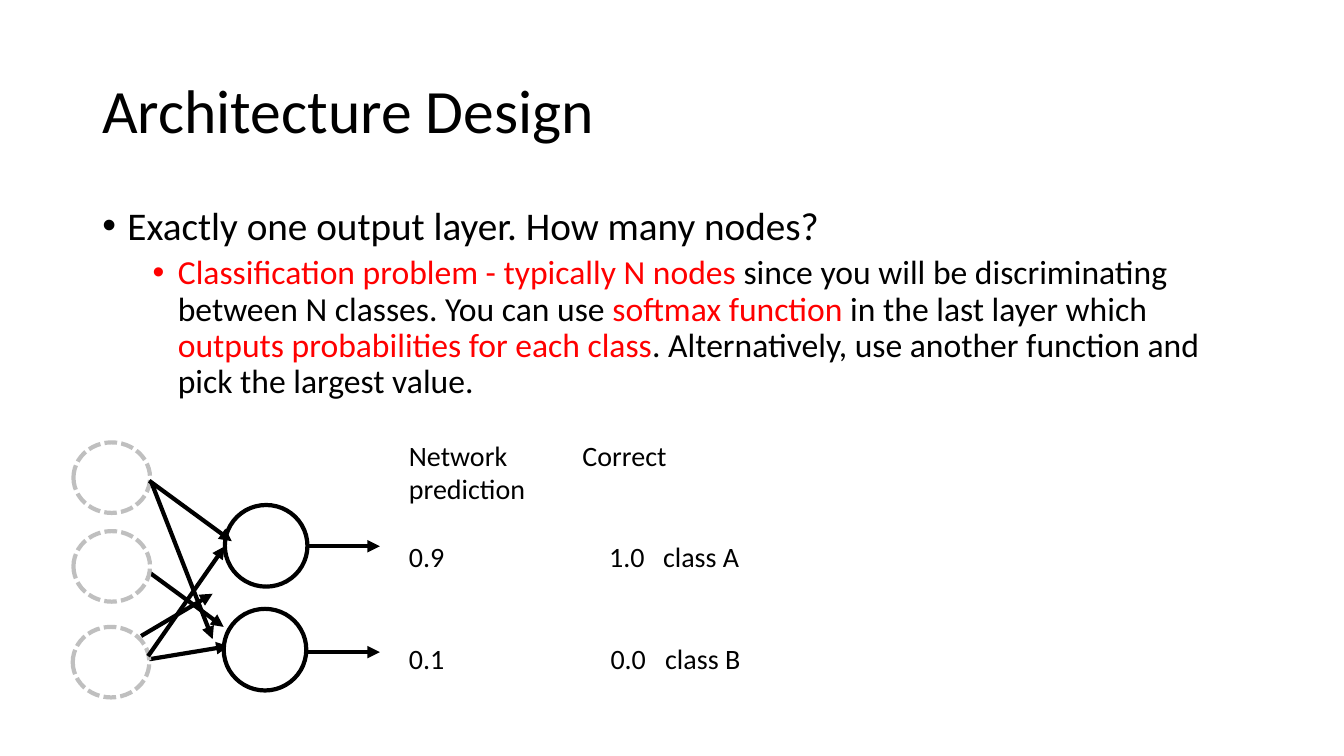
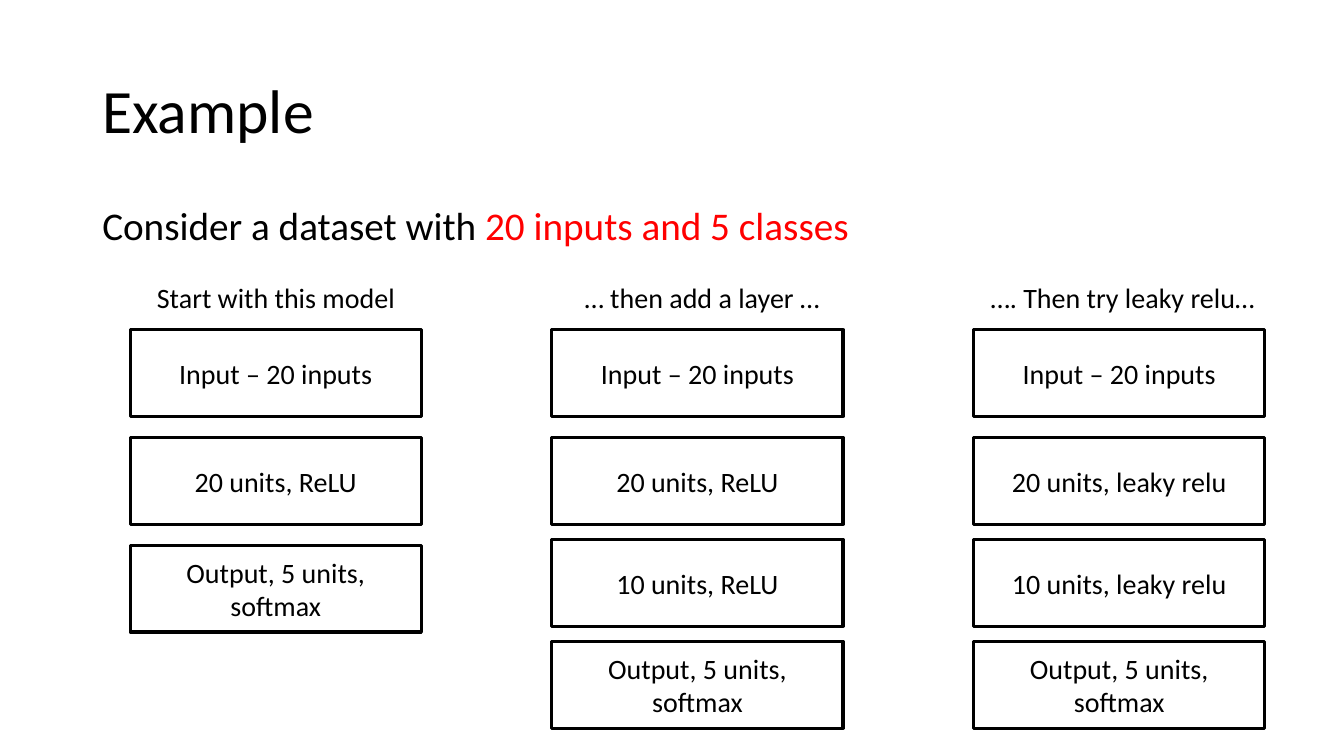
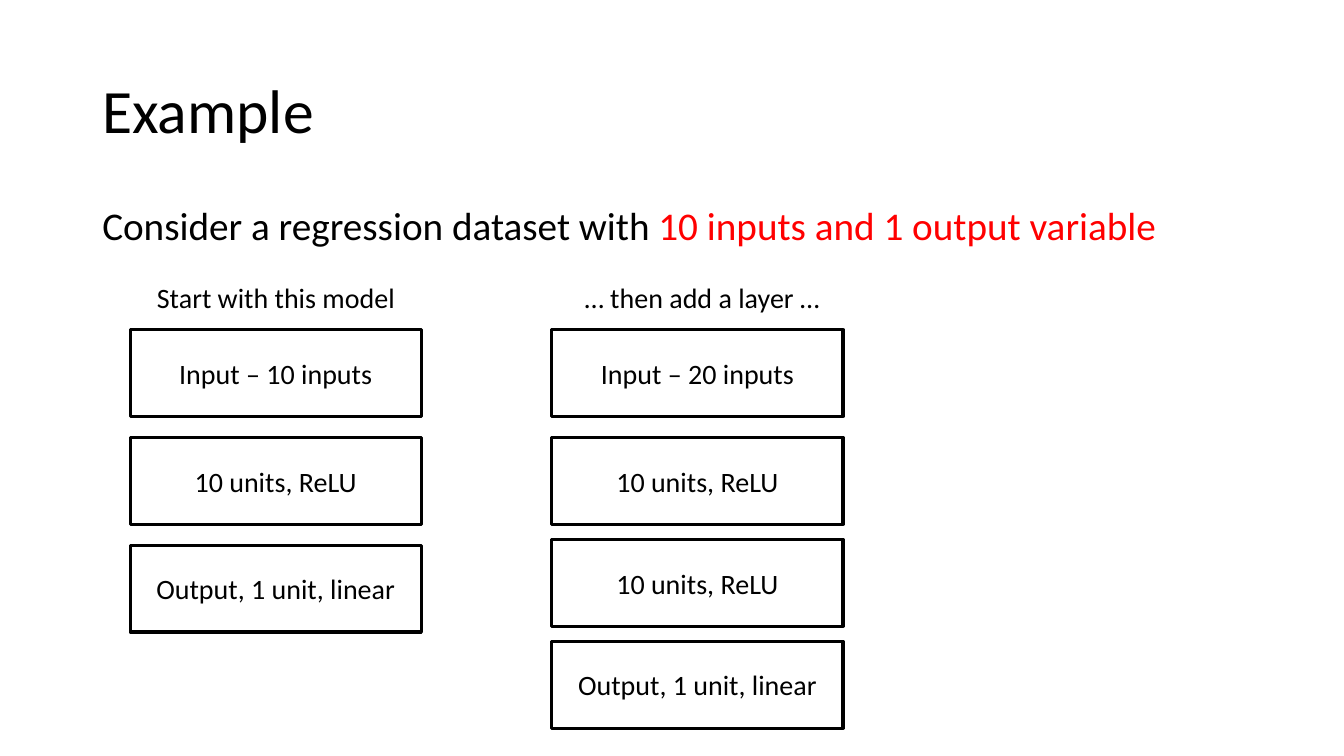
from lxml import etree
from pptx import Presentation
from pptx.dml.color import RGBColor
from pptx.enum.dml import MSO_LINE_DASH_STYLE as Dash
from pptx.enum.shapes import MSO_CONNECTOR as Connector, MSO_SHAPE as Shape
from pptx.enum.text import MSO_ANCHOR as Anchor, PP_ALIGN as Align
from pptx.oxml.ns import qn
from pptx.util import Pt

COLORS = {"ink": "000000", "accent": "FF0000", "paper": "FFFFFF", "faded": "BFBFBF"}
FONT = "Calibri"
TITLE_BOX = (66, 29, 828, 104)
BODY_BOX = (66, 144, 828, 343)
LABEL_SIZE = 20


def color(name):
    return RGBColor.from_string(COLORS[name])


# Text helpers
def style(span, size, ink="ink"):
    span.font.name = FONT
    span.font.size = Pt(size)
    span.font.color.rgb = color(ink)


def add_text(page, box, anchor=Anchor.TOP):
    frame = page.shapes.add_textbox(*map(Pt, box)).text_frame
    frame.word_wrap = True
    frame.vertical_anchor = anchor
    return frame


def add_spans(para, spans, size):
    """Fill a paragraph with (text, colour name) pairs."""
    para.line_spacing = 0.9
    for text, ink in spans:
        span = para.add_run()
        span.text = text
        style(span, size, ink)


def add_bullet(para, left):
    props = para._p.get_or_add_pPr()
    props.set("marL", str(Pt(left)))
    props.set("indent", str(-Pt(18)))
    etree.SubElement(props, qn("a:buFont")).set("typeface", "Arial")
    etree.SubElement(props, qn("a:buChar")).set("char", "•")


def add_tabs(para, stops):
    tabs = etree.SubElement(para._p.get_or_add_pPr(), qn("a:tabLst"))
    for stop in stops:
        tab = etree.SubElement(tabs, qn("a:tab"))
        tab.set("pos", str(Pt(stop)))
        tab.set("algn", "l")


def add_tabbed_line(para, text, stops):
    para.text = text
    add_tabs(para, stops)
    for span in para.runs:
        style(span, LABEL_SIZE)


# Shape helpers
def add_outlined(page, kind, box, width, line="ink"):
    shape = page.shapes.add_shape(kind, *map(Pt, box))
    shape.shadow.inherit = False
    shape.fill.solid()
    shape.fill.fore_color.rgb = color("paper")
    shape.line.color.rgb = color(line)
    shape.line.width = Pt(width)
    return shape


def add_arrow(page, origin, points):
    left, top = origin
    x1, y1, x2, y2 = points
    arrow = page.shapes.add_connector(
        Connector.STRAIGHT, Pt(left + x1), Pt(top + y1), Pt(left + x2), Pt(top + y2))
    arrow.line.color.rgb = color("ink")
    arrow.line.width = Pt(3)
    etree.SubElement(arrow.line._get_or_add_ln(), qn("a:tailEnd")).set("type", "triangle")
    etree.SubElement(arrow._element.spPr, qn("a:effectLst"))


def new_page(deck, title):
    page = deck.slides.add_slide(deck.slide_layouts[6])
    frame = add_text(page, TITLE_BOX, Anchor.MIDDLE)
    add_spans(frame.paragraphs[0], [(title, "ink")], 44)
    return page


# Output layer drawing
def draw_network(page, origin):
    left, top = origin
    behind = [(54.1, 154.9, 110.9, 145.5), (48.3, 88.6, 107.3, 131.8)]
    in_front = [
        (54.1, 27.4, 113.1, 70.6), (48.3, 138.3, 99.4, 108.1),
        (53.3, 152.7, 108.1, 74.2), (55.5, 28.2, 99.4, 140.5),
        (167.1, 149.8, 218.9, 149.8), (167.1, 74.2, 218.9, 74.2),
    ]
    for points in behind:
        add_arrow(page, origin, points)
    for x, y in [(0, 0), (0, 63.4), (-0.5, 131.8)]:
        node = add_outlined(page, Shape.OVAL, (left + x, top + y, 54.7, 50.4), 3, "faded")
        node.line.dash_style = Dash.SQUARE_DOT
    for x, y in [(107.3, 118.9), (108.1, 44.7)]:
        add_outlined(page, Shape.OVAL, (left + x, top + y, 59, 58.3), 3)
    for points in in_front:
        add_arrow(page, origin, points)


def draw_predictions(page, box):
    frame = add_text(page, box)
    rows = [  # text, space before, tab stops
        ("Network\tCorrect", 0, [124]),
        ("prediction", 0, []),
        ("0.9\t1.0\tclass A", 24.4, [143, 181.5]),
        ("0.1\t0.0\tclass B", 48.8, [144, 183]),
    ]
    for index, (text, gap, stops) in enumerate(rows):
        para = frame.add_paragraph() if index else frame.paragraphs[0]
        add_tabbed_line(para, text, stops)
        if gap:
            para.space_before = Pt(gap)


def architecture_page(deck):
    page = new_page(deck, "Architecture Design")
    frame = add_text(page, BODY_BOX)
    question = frame.paragraphs[0]
    add_bullet(question, 18)
    add_spans(question, [("Exactly one output layer. How many nodes?", "ink")], 28)
    answer = frame.add_paragraph()
    answer.level = 1
    add_bullet(answer, 54)
    answer.space_before = Pt(5)
    add_spans(answer, [
        ("Classification problem - typically N nodes ", "accent"),
        ("since you will be discriminating between N classes. You can use ", "ink"),
        ("softmax function ", "accent"),
        ("in the last layer which ", "ink"),
        ("outputs probabilities for each class", "accent"),
        (". Alternatively, use another function and pick the largest value.", "ink"),
    ], 24)
    draw_network(page, (52.5, 316))
    draw_predictions(page, (285, 309.6, 281.5, 177))


# Model columns
def draw_model(page, origin, layers):
    left, top = origin
    pitch = 77 if len(layers) == 3 else 72.8
    for index, text in enumerate(layers):
        # The first gap is the same in every column
        offset = 77 + (index - 1) * pitch if index else 0
        layer = add_outlined(page, Shape.RECTANGLE, (left, top + offset, 208, 62), 2.25)
        frame = layer.text_frame
        frame.text = text
        frame.word_wrap = True
        frame.vertical_anchor = Anchor.MIDDLE
        para = frame.paragraphs[0]
        para.alignment = Align.CENTER
        style(para.runs[0], LABEL_SIZE)


def example_page(deck, intro, highlight, models):
    page = new_page(deck, "Example")
    body = add_text(page, BODY_BOX)
    add_spans(body.paragraphs[0], [(intro, "ink"), (highlight, "accent")], 28)
    for column, (_, layers) in enumerate(models):
        draw_model(page, (93 + column * 301.25, 235.5), layers)
    captions = add_text(page, (105, 196.5, 834, 32))
    add_tabbed_line(captions.paragraphs[0], "\t".join(name for name, _ in models),
                    [305.5, 595.5][:len(models) - 1])


def main():
    deck = Presentation()
    deck.slide_width, deck.slide_height = Pt(960), Pt(540)
    start, deeper, leaky = (
        "Start with this model", "… then add a layer …", "…. Then try leaky relu…")
    wide_input, classes, linear = (
        "Input – 20 inputs", "Output, 5 units, softmax", "Output, 1 unit, linear")

    architecture_page(deck)
    example_page(deck, "Consider a dataset with ", "20 inputs and 5 classes", [
        (start, [wide_input, "20 units, ReLU", classes]),
        (deeper, [wide_input, "20 units, ReLU", "10 units, ReLU", classes]),
        (leaky, [wide_input, "20 units, leaky relu", "10 units, leaky relu", classes]),
    ])
    example_page(deck, "Consider a regression dataset with ", "10 inputs and 1 output variable", [
        (start, ["Input – 10 inputs", "10 units, ReLU", linear]),
        (deeper, [wide_input, "10 units, ReLU", "10 units, ReLU", linear]),
    ])
    deck.save("out.pptx")


if __name__ == "__main__":
    main()
